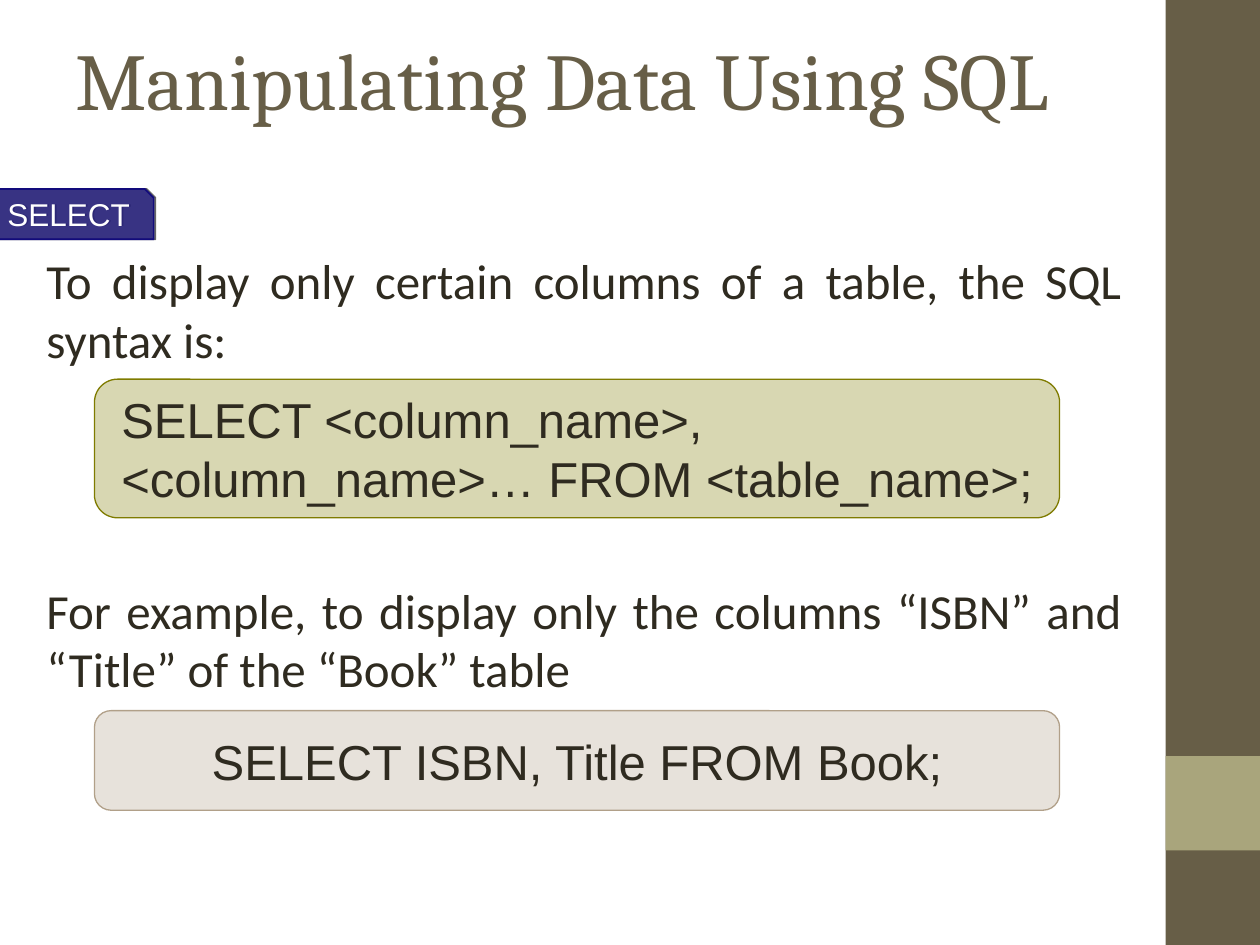
from lxml.etree import SubElement
from pptx import Presentation
from pptx.dml.color import RGBColor
from pptx.enum.shapes import MSO_SHAPE
from pptx.enum.text import MSO_ANCHOR, PP_ALIGN
from pptx.oxml.ns import qn
from pptx.util import Inches, Pt

OLIVE, SAGE, INK, NAVY, WHITE = "675E47", "A9A57C", "2F2B20", "120B7C", "FFFFFF"
MOSS, SAND = "7F7B00", "B1A089"


def colour(value):
    return RGBColor.from_string(value)


def set_alpha(colour_element, percent):
    SubElement(colour_element, qn("a:alpha"), val=str(percent * 1000))


class SlideBuilder:
    def __init__(self, page):
        self.page = page

    def paint(self, shape, fill, opacity=100, line_width=None):
        shape.shadow.inherit = False
        shape.fill.solid()
        shape.fill.fore_color.rgb = colour(fill)
        if opacity < 100:
            set_alpha(shape._element.spPr.find(qn("a:solidFill"))[0], opacity)
        if line_width:
            shape.line.color.rgb = colour(fill)
            shape.line.width = Pt(line_width)
        else:
            shape.line.fill.background()

    def add_paragraphs(self, shape, paragraphs, size, font, ink=INK, align=PP_ALIGN.LEFT,
                       anchor=MSO_ANCHOR.MIDDLE, gap=0, left_inset=0.1):
        frame = shape.text_frame
        frame.word_wrap = True
        frame.vertical_anchor = anchor
        frame.margin_left = Inches(left_inset)
        for index, text in enumerate(paragraphs):
            para = frame.add_paragraph() if index else frame.paragraphs[0]
            para.alignment = align
            if index:
                para.space_before = Pt(gap)
            span = para.add_run()
            span.text = text
            span.font.size = Pt(size)
            span.font.name = font
            span.font.color.rgb = colour(ink)

    def band(self, left, top, width, height, fill):
        shape = self.page.shapes.add_shape(
            MSO_SHAPE.RECTANGLE, Inches(left), Inches(top), Inches(width), Inches(height))
        self.paint(shape, fill)

    def text(self, left, top, width, height, paragraphs, size, font, **style):
        box = self.page.shapes.add_textbox(
            Inches(left), Inches(top), Inches(width), Inches(height))
        self.add_paragraphs(box, paragraphs, size, font, **style)

    def code_box(self, top, height, fill, code, **style):
        box = self.page.shapes.add_shape(
            MSO_SHAPE.ROUNDED_RECTANGLE, Inches(0.75), Inches(top), Inches(7.66), Inches(height))
        self.paint(box, fill, opacity=30, line_width=0.75)
        self.add_paragraphs(box, [code], 28, "Arial", **style)

    def tag(self, label, left, top, right, bottom, snip):
        outline = self.page.shapes.build_freeform(Inches(left), Inches(top))
        corners = [(right - snip, top), (right, top + snip), (right, bottom), (left, bottom)]
        outline.add_line_segments([(Inches(x), Inches(y)) for x, y in corners], close=True)
        shape = outline.convert_to_shape()
        self.paint(shape, NAVY, opacity=70, line_width=1)
        effects = shape._element.spPr.find(qn("a:effectLst"))
        shadow = SubElement(effects, qn("a:outerShdw"), dist=str(Pt(1)), dir="0")
        set_alpha(SubElement(shadow, qn("a:srgbClr"), val="000000"), 60)
        self.add_paragraphs(shape, [label], 18, "Arial", ink=WHITE)


def main():
    deck = Presentation()
    deck.slide_width, deck.slide_height = Inches(10), Inches(7.5)
    slide = SlideBuilder(deck.slides.add_slide(deck.slide_layouts[6]))

    # Side band
    slide.band(9.25, 0, 0.75, 7.5, OLIVE)
    slide.band(9.25, 6, 0.75, 0.75, SAGE)

    # Title and topic tag
    slide.text(0.5, 0, 8.33, 1.25, ["Manipulating Data Using SQL"], 46, "Cambria", ink=OLIVE)
    slide.tag("SELECT", -0.04, 1.5, 1.22, 1.9, snip=0.07)

    # Explanation, with room between its paragraphs for the syntax box
    slide.text(0.27, 1.94, 8.73, 3.7, [
        "To display only certain columns of a table, the SQL syntax is:",
        "For example, to display only the columns “ISBN” and “Title” of the “Book” table",
    ], 28, "Calibri", align=PP_ALIGN.JUSTIFY, anchor=MSO_ANCHOR.TOP, gap=121)

    # Syntax and example
    slide.code_box(3.01, 1.1, MOSS, "SELECT <column_name>, <column_name>… FROM <table_name>;",
                   left_inset=0.16)
    slide.code_box(5.64, 0.79, SAND, "SELECT ISBN, Title FROM Book;", align=PP_ALIGN.CENTER)

    deck.save("out.pptx")


if __name__ == "__main__":
    main()
